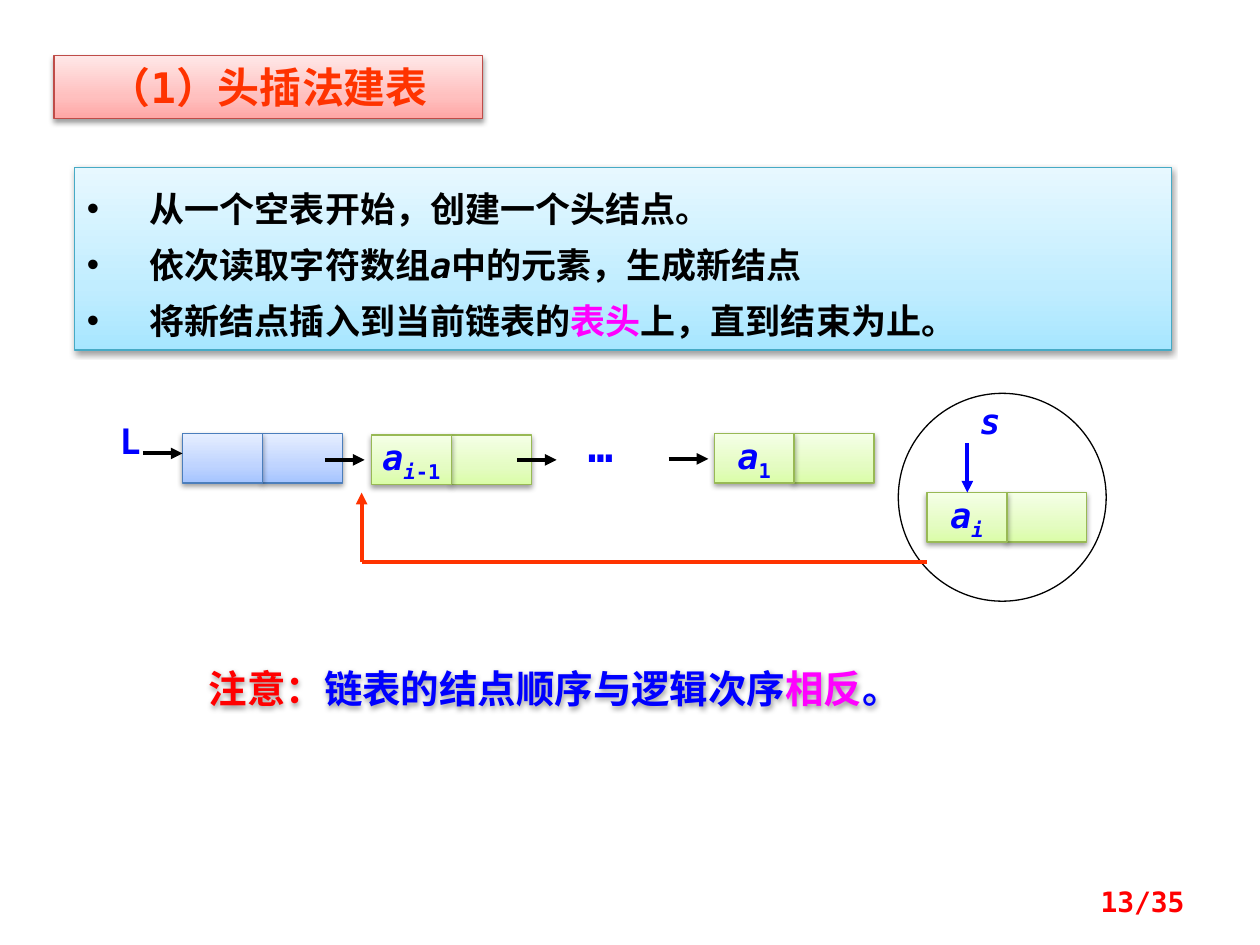
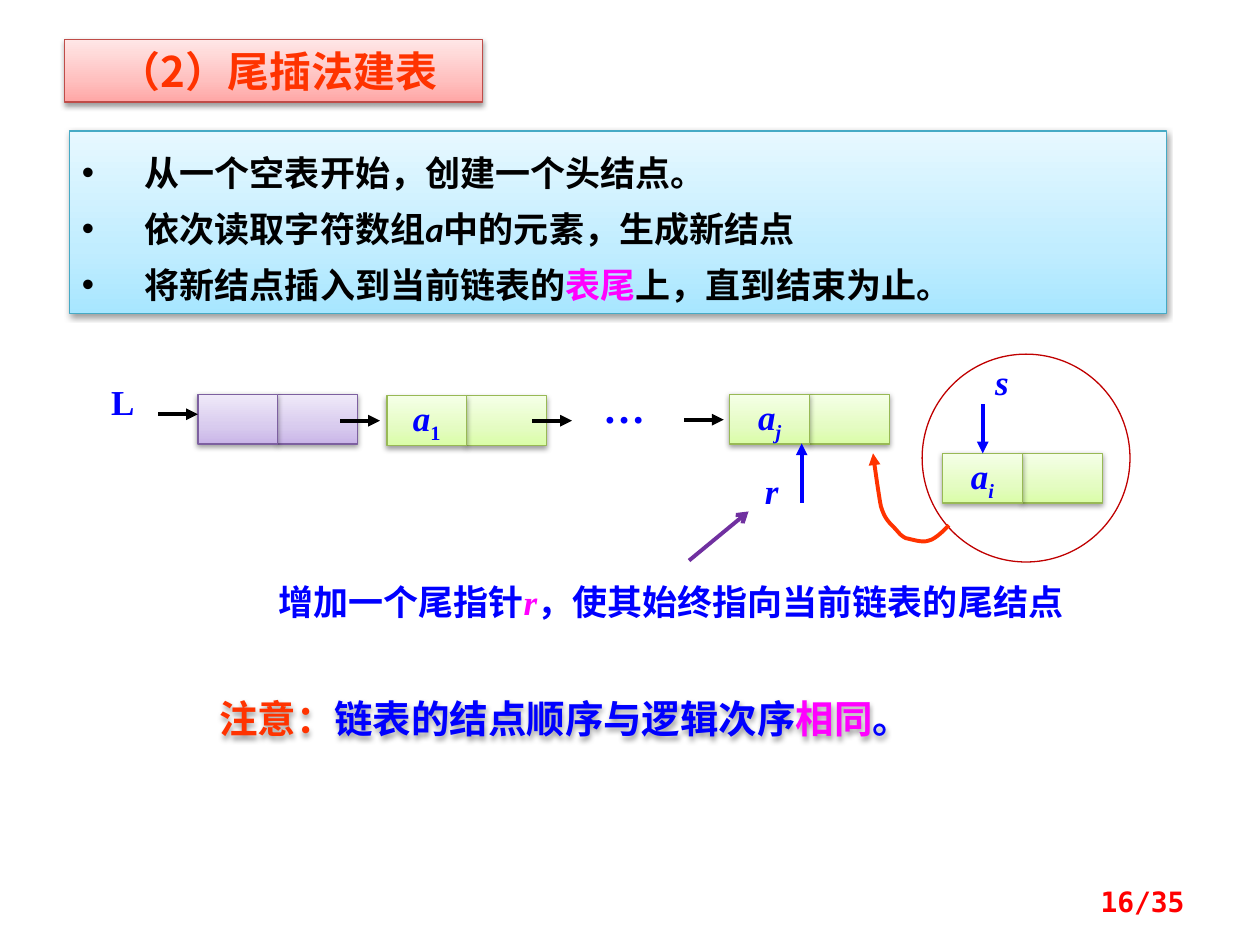
"""Build two slides on creating a linked list by head and tail insertion."""
import copy

import pptx
import pptx.dml.color
import pptx.enum.shapes
import pptx.enum.text
import pptx.oxml.ns
import pptx.util
from lxml import etree

Cm, Pt = pptx.util.Cm, pptx.util.Pt
RGBColor = pptx.dml.color.RGBColor
qn = pptx.oxml.ns.qn
SHAPES = pptx.enum.shapes.MSO_SHAPE
ALIGN = pptx.enum.text.PP_ALIGN
ANCHOR = pptx.enum.text.MSO_ANCHOR

BLACK = RGBColor(0x00, 0x00, 0x00)
BLUE = RGBColor(0x00, 0x00, 0xFF)
RED = RGBColor(0xFF, 0x00, 0x00)
ORANGE = RGBColor(0xFF, 0x33, 0x00)
MAGENTA = RGBColor(0xFF, 0x00, 0xFF)
PURPLE = RGBColor(0x70, 0x30, 0xA0)
DARK_RED = RGBColor(0xC0, 0x00, 0x00)


def palette(*codes):
    """Return the three gradient colours, bottom to top, and the outline."""
    return [RGBColor.from_string(code) for code in codes]


TITLE_LOOK = palette("FFA6A5", "FFC0BF", "FFE7E7", "BF4C48")
STEPS_LOOK = palette("A7E6FF", "C1EDFF", "E7F8FF", "46AAC5")
NODE_LOOK = palette("DAFDA7", "E4FCC2", "F5FFE7", "98B955")
BLUE_HEAD = palette("A4C4FF", "BFD4FF", "E6EEFF", "4B7EBC")
PURPLE_HEAD = palette("C9B5E8", "D8CBEE", "F0EAF9", "7D60A0")

MONO, CJK, SERIF = "DejaVu Sans Mono", "Noto Sans CJK SC", "Times New Roman"
CELL_W, CELL_H = 1.61, 1.0
ARROW = 0.8
TAIL_CURVE = [
    (15.14, 2.64),
    (15.09, 2.69), (14.88, 2.92), (14.73, 2.95),
    (14.61, 3.0), (14.38, 2.92), (14.27, 2.9),
    (14.15, 2.84), (14.12, 2.77), (14.02, 2.67),
    (13.92, 2.57), (13.84, 2.49), (13.77, 2.26),
    (13.72, 2.01), (13.64, 1.42), (13.61, 1.19),
]


def place(shape, left, top, width, height):
    """Move and size a shape, in centimetres."""
    shape.left, shape.top = Cm(left), Cm(top)
    shape.width, shape.height = Cm(width), Cm(height)


def write(paragraph, runs, font, size, bold=True):
    """Add (text, colour, marks) runs; mark i is italic and _ is subscript."""
    for text, colour, marks in runs:
        run = paragraph.add_run()
        run.text = text
        run.font.size, run.font.bold = Pt(size), bold
        run.font.italic = "i" in marks
        run.font.color.rgb = colour
        run.font.name = font
        properties = run._r.get_or_add_rPr()
        etree.SubElement(properties, qn("a:ea"), typeface=CJK)
        if "_" in marks:
            properties.set("baseline", "-25000")


def add_shadow(shape):
    """Give a shape the soft shadow that falls straight down."""
    shape.shadow.inherit = False
    effects = shape._element.spPr.find(qn("a:effectLst"))
    outer = etree.SubElement(effects, qn("a:outerShdw"), blurRad="40000",
                             dist="20000", dir="5400000", rotWithShape="0")
    black = etree.SubElement(outer, qn("a:srgbClr"), val="000000")
    etree.SubElement(black, qn("a:alpha"), val="38000")


def decorate(shape, look):
    """Apply a vertical gradient, a thin outline and the shadow."""
    shape.fill.gradient()
    shape.fill.gradient_angle = 90
    stops = shape._element.spPr.find(".//" + qn("a:gsLst"))
    stops.insert(1, copy.deepcopy(stops[0]))
    for stop, colour, position in zip(shape.fill.gradient_stops, look, (0, 0.35, 1)):
        stop.color.rgb = colour
        stop.position = position
    shape.line.color.rgb = look[3]
    shape.line.width = Pt(0.75)
    add_shadow(shape)


def add_label(slide, box, runs, font, size, align=ALIGN.LEFT, bold=True):
    """Add a one-paragraph text box and return it."""
    label = slide.shapes.add_textbox(*map(Cm, box))
    label.text_frame.word_wrap = True
    paragraph = label.text_frame.paragraphs[0]
    paragraph.alignment = align
    write(paragraph, runs, font, size, bold)
    return label


def style_line(shape, colour, head):
    """Colour a line and put an arrowhead, if any, at its end."""
    shape.line.color.rgb = colour
    shape.line.width = Pt(2.25)
    if head:
        etree.SubElement(shape.line._get_or_add_ln(), qn("a:tailEnd"), type=head)


def add_line(slide, start, end, colour, head="triangle"):
    """Add a straight line between two points."""
    line = slide.shapes.add_connector(
        pptx.enum.shapes.MSO_CONNECTOR.STRAIGHT, *map(Cm, (*start, *end)))
    style_line(line, colour, head)
    etree.SubElement(line._element.spPr, qn("a:effectLst"))


def add_curve(slide, points, colour, steps=8):
    """Add an arrow that follows a chain of cubic curves."""
    track = [points[0]]
    for first in range(0, len(points) - 1, 3):
        a, b, c, d = points[first:first + 4]
        for step in range(1, steps + 1):
            t = step / steps
            weights = ((1 - t) ** 3, 3 * t * (1 - t) ** 2, 3 * t * t * (1 - t), t ** 3)
            track.append(tuple(sum(w * p[axis] for w, p in zip(weights, (a, b, c, d)))
                               for axis in (0, 1)))
    track = [(Cm(x), Cm(y)) for x, y in track]
    builder = slide.shapes.build_freeform(*track[0])
    builder.add_line_segments(track[1:], close=False)
    curve = builder.convert_to_shape()
    curve.fill.background()
    curve.shadow.inherit = False
    style_line(curve, colour, "triangle")


def add_title(slide, box, text, font):
    """Format the title placeholder as the pink box."""
    title = slide.shapes.title
    place(title, *box)
    decorate(title, TITLE_LOOK)
    frame = title.text_frame
    frame.auto_size = pptx.enum.text.MSO_AUTO_SIZE.NONE
    frame.vertical_anchor = ANCHOR.TOP
    frame.paragraphs[0].alignment = ALIGN.CENTER
    write(frame.paragraphs[0], [(text, ORANGE, "")], font, 24)


def add_steps(slide, left, top, target, font):
    """Add the blue box with the three steps of the method."""
    steps = slide.shapes.add_shape(SHAPES.RECTANGLE, *map(Cm, (left, top, 22.12, 3.68)))
    decorate(steps, STEPS_LOOK)
    frame = steps.text_frame
    frame.vertical_anchor = ANCHOR.TOP
    lines = [
        [("从一个空表开始，创建一个头结点。", BLACK, "")],
        [("依次读取字符数组", BLACK, ""), ("a", BLACK, "i"),
         ("中的元素，生成新结点", BLACK, "")],
        [("将新结点插入到当前链表的", BLACK, ""), (target, MAGENTA, ""),
         ("上，直到结束为止。", BLACK, "")],
    ]
    for number, runs in enumerate(lines):
        paragraph = frame.add_paragraph() if number else frame.paragraphs[0]
        paragraph.alignment = ALIGN.LEFT
        paragraph.line_spacing = Pt(32)
        properties = paragraph._p.get_or_add_pPr()
        properties.set("marL", str(Cm(1.27)))
        properties.set("indent", str(-Cm(1.27)))
        etree.SubElement(properties, qn("a:buFont"), typeface="Arial")
        etree.SubElement(properties, qn("a:buChar"), char="•")
        write(paragraph, runs, font, 20)


def add_node(slide, left, top, look, subscript=(), font=MONO):
    """Add a list node: a pointer cell and a data cell with its element."""
    for column in (1, 0):
        cell = slide.shapes.add_shape(
            SHAPES.RECTANGLE,
            *map(Cm, (left + column * CELL_W, top, CELL_W, CELL_H)))
        decorate(cell, look)
    if subscript:
        frame = cell.text_frame
        frame.word_wrap = False
        frame.vertical_anchor = ANCHOR.MIDDLE
        frame.paragraphs[0].alignment = ALIGN.CENTER
        runs = [("a", BLUE, "i")] + [(text, BLUE, marks) for text, marks in subscript]
        write(frame.paragraphs[0], runs, font, 20)


def add_list(slide, x, y, font, head_look, first, last, label_dx, circle_dx, circle_colour):
    """Draw the list from its head node at (x, y), with the new node circled."""
    circle = slide.shapes.add_shape(
        SHAPES.OVAL, *map(Cm, (x + circle_dx, y - 0.81, 4.19, 4.19)))
    circle.fill.background()
    circle.shadow.inherit = False
    circle.line.color.rgb = circle_colour
    circle.line.width = Pt(0.75)

    add_node(slide, x, y, head_look)
    for dx, dy, subscript in ((3.81, 0.03, first), (10.72, 0, last),
                              (15.01, 1.19, [("i", "i_")])):
        add_node(slide, x + dx, y + dy, NODE_LOOK, subscript, font)
    for dx, dy in ((-ARROW, 0.4), (2.87, 0.53), (6.74, 0.53), (9.8, 0.51)):
        add_line(slide, (x + dx, y + dy), (x + dx + ARROW, y + dy), BLACK)
    add_line(slide, (x + 15.82, y + 0.2), (x + 15.82, y + 1.19), BLUE)

    for text, dx, dy, size, marks in (("L", label_dx, -0.41, 20, ""),
                                      ("…", 7.92, -0.38, 24, ""),
                                      ("s", 15.82, -0.81, 20, "i")):
        add_label(slide, (x + dx, y + dy, 1.4, 1.1), [(text, BLUE, marks)], font, size)


def add_head_insertion(slide, x, y):
    """Draw the path from the new node to just after the head node."""
    corner = (x + 3.61, y + 2.59)
    add_line(slide, corner, (x + 3.61, y + 1.19), ORANGE)
    add_line(slide, corner, (x + 15.01, y + 2.59), ORANGE, head=None)


def add_tail_insertion(slide, x, y):
    """Draw the tail pointer, its explanation and the path of the new node."""
    add_line(slide, (x + 12.17, y + 2.18), (x + 12.17, y + 0.99), BLUE)
    add_label(slide, (x + 11.18, y + 1.4, 1.6, 1.1), [("r", BLUE, "i")], SERIF, 20)
    add_curve(slide, [(x + dx, y + dy) for dx, dy in TAIL_CURVE], ORANGE)
    explanation = add_label(
        slide, (x + 1.37, y + 3.35, 17.07, 1.4),
        [("增加一个尾指针", BLUE, ""), ("r", MAGENTA, "i"),
         ("，使其始终指向当前链表的尾结点", BLUE, "")],
        SERIF, 20, ALIGN.JUSTIFY)
    explanation.text_frame.paragraphs[0].line_spacing = Pt(32)
    add_line(slide, (x + 9.9, y + 3.35), (x + 11.1, y + 2.36), PURPLE, "arrow")


def add_note(slide, left, top, colour, order, font):
    """Add the shadowed remark on the order of the nodes."""
    note = add_label(
        slide, (left, top, 17.2, 1.19),
        [("注意：", colour, ""), ("链表的结点顺序与逻辑次序", BLUE, ""),
         (order, MAGENTA, ""), ("。", BLUE, "")], font, 22)
    add_shadow(note)


def add_page_number(slide, number):
    """Add the red page count at the bottom right."""
    page = add_label(slide, (18.21, 17.65, 5.92, 1.02),
                     [(f"{number}/35", RED, "")], MONO, 16, ALIGN.RIGHT)
    page.text_frame.vertical_anchor = ANCHOR.MIDDLE


def head_slide(slide):
    """Fill the slide on head insertion."""
    origin = (3.68, 8.74)
    add_title(slide, (1.09, 1.12, 8.64, 1.27), "（1）头插法建表", MONO)
    add_steps(slide, 1.5, 3.38, "表头", MONO)
    add_list(slide, *origin, MONO, BLUE_HEAD, [("i", "i_"), ("-1", "_")],
             [("1", "_")], -1.52, 14.43, BLACK)
    add_head_insertion(slide, *origin)
    add_note(slide, 3.96, 13.28, RED, "相反", MONO)
    add_page_number(slide, 13)


def tail_slide(slide):
    """Fill the slide on tail insertion."""
    origin = (3.99, 7.95)
    add_title(slide, (1.3, 0.79, 8.43, 1.27), " （2）尾插法建表", CJK)
    add_steps(slide, 1.4, 2.64, "表尾", "Calibri")
    add_list(slide, *origin, SERIF, PURPLE_HEAD, [("1", "_")],
             [("j", "i_")], -2.0, 14.6, DARK_RED)
    add_tail_insertion(slide, *origin)
    add_note(slide, 4.17, 13.89, ORANGE, "相同", CJK)
    add_page_number(slide, 16)


def main():
    """Create the presentation and save it."""
    deck = pptx.Presentation()
    deck.slide_width, deck.slide_height = Cm(25.4), Cm(19.05)
    title_only = deck.slide_layouts[5]
    for fill_slide in (head_slide, tail_slide):
        fill_slide(deck.slides.add_slide(title_only))
    deck.save("out.pptx")


if __name__ == "__main__":
    main()
